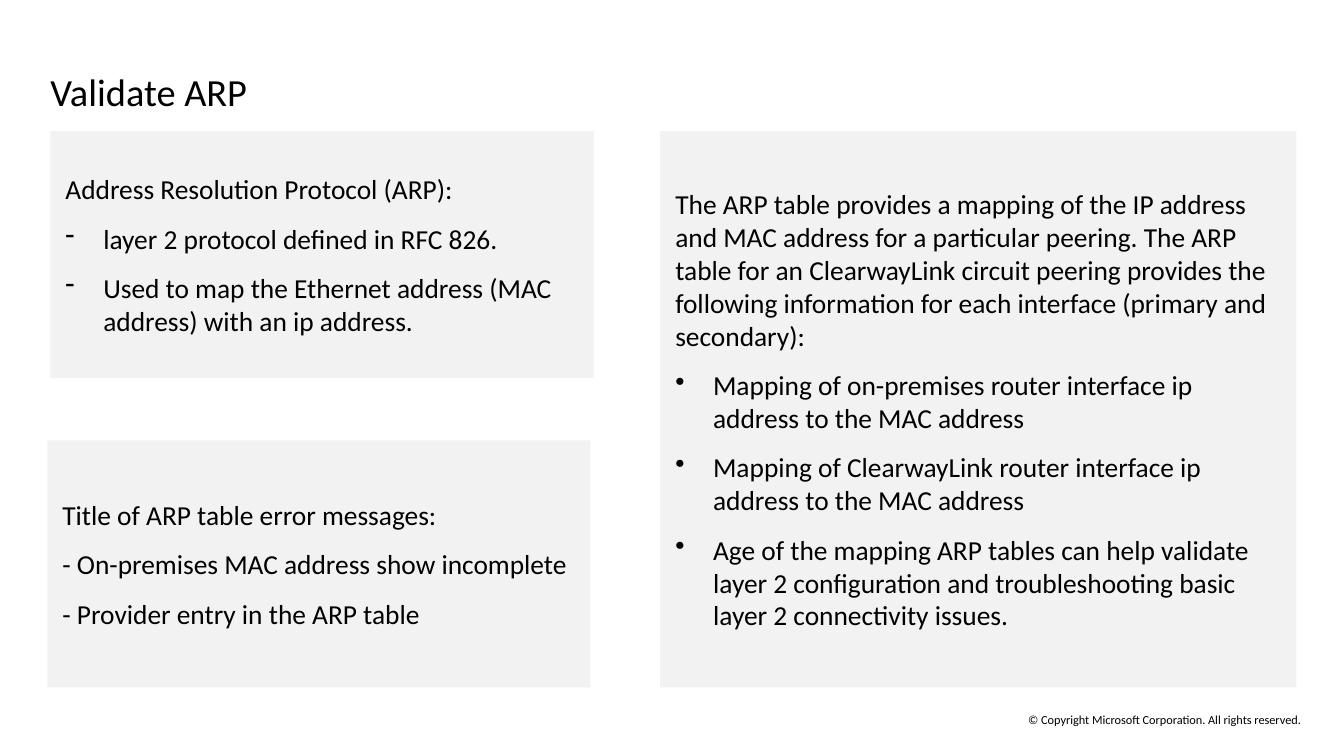
import pptx
import pptx.dml.color
import pptx.enum.shapes
import pptx.enum.text
import pptx.oxml.ns
import pptx.util
from lxml import etree

Pt = pptx.util.Pt
PP_ALIGN = pptx.enum.text.PP_ALIGN
COLOURS = {"text": "000000", "panel": "F2F2F2"}
FONT = "Calibri"
BODY_SIZE = 19.6
PARAGRAPH_GAP = 11.8
BULLET_INDENT = 27
PANEL_INSETS = {"margin_left": 10.8, "margin_right": 10.8,
                "margin_top": 7.2, "margin_bottom": 7.2}
NO_INSETS = dict.fromkeys(PANEL_INSETS, 0)

LEFT, TOP = 36, 93.6
LEFT_WIDTH, LEFT_HEIGHT = 388, 176.4
RIGHT, RIGHT_WIDTH, RIGHT_HEIGHT = 471.6, 454.4, 397.4
ERRORS_LEFT = 33.8
ERRORS_TOP = TOP + RIGHT_HEIGHT - LEFT_HEIGHT

# Each panel: box, then (bullet, text) paragraphs
PANELS = [
    ((LEFT, TOP, LEFT_WIDTH, LEFT_HEIGHT), [
        (None, "Address Resolution Protocol (ARP):"),
        ("-", "layer 2 protocol defined in RFC 826."),
        ("-", "Used to map the Ethernet address (MAC address) with an ip address."),
    ]),
    ((ERRORS_LEFT, ERRORS_TOP, LEFT_WIDTH, LEFT_HEIGHT), [
        (None, "Title of ARP table error messages:"),
        (None, "- On-premises MAC address show incomplete"),
        (None, "- Provider entry in the ARP table"),
    ]),
    ((RIGHT, TOP, RIGHT_WIDTH, RIGHT_HEIGHT), [
        (None, "The ARP table provides a mapping of the IP address and MAC address "
               "for a particular peering. The ARP table for an ClearwayLink circuit "
               "peering provides the following information for each interface "
               "(primary and secondary):"),
        ("•", "Mapping of on-premises router interface ip address to the MAC address"),
        ("•", "Mapping of ClearwayLink router interface ip address to the MAC address"),
        ("•", "Age of the mapping ARP tables can help validate layer 2 configuration "
              "and troubleshooting basic layer 2 connectivity issues."),
    ]),
]


def colour(name):
    return pptx.dml.color.RGBColor.from_string(COLOURS[name])


def set_frame(frame, insets):
    frame.word_wrap = True
    frame.vertical_anchor = pptx.enum.text.MSO_ANCHOR.MIDDLE
    for side, inset in insets.items():
        setattr(frame, side, Pt(inset))


def set_bullet(paragraph, character):
    properties = paragraph._p.get_or_add_pPr()
    properties.set("marL", str(Pt(BULLET_INDENT)))
    properties.set("indent", str(-Pt(BULLET_INDENT)))
    bullet = etree.SubElement(properties, pptx.oxml.ns.qn("a:buChar"))
    bullet.set("char", character)


def write(paragraph, text, size, align=PP_ALIGN.LEFT):
    paragraph.alignment = align
    run = paragraph.add_run()
    run.text = text
    for name, value in {"name": FONT, "size": Pt(size), "bold": False}.items():
        setattr(run.font, name, value)
    run.font.color.rgb = colour("text")


def add_label(slide, box, text, size, align=PP_ALIGN.LEFT):
    frame = slide.shapes.add_textbox(*map(Pt, box)).text_frame
    set_frame(frame, NO_INSETS)
    write(frame.paragraphs[0], text, size, align)


def add_panel(slide, box, lines):
    panel = slide.shapes.add_shape(
        pptx.enum.shapes.MSO_SHAPE.RECTANGLE, *map(Pt, box))
    panel.shadow.inherit = False
    panel.fill.solid()
    panel.fill.fore_color.rgb = colour("panel")
    panel.line.fill.background()
    frame = panel.text_frame
    set_frame(frame, PANEL_INSETS)
    for index, (bullet, text) in enumerate(lines):
        paragraph = frame.add_paragraph() if index else frame.paragraphs[0]
        if bullet:
            set_bullet(paragraph, bullet)
        if index:
            paragraph.space_before = Pt(PARAGRAPH_GAP)
        write(paragraph, text, BODY_SIZE)


def main():
    deck = pptx.Presentation()
    deck.slide_width, deck.slide_height = Pt(960), Pt(540)
    slide = deck.slides.add_slide(deck.slide_layouts[6])
    add_label(slide, (704.2, 508.3, 255.6, 10.8),
              "© Copyright Microsoft Corporation. All rights reserved.",
              8.8, PP_ALIGN.CENTER)
    add_label(slide, (LEFT, 49, 890, 31.7), "Validate ARP", 27.4)
    for box, lines in PANELS:
        add_panel(slide, box, lines)
    deck.save("out.pptx")


if __name__ == "__main__":
    main()
